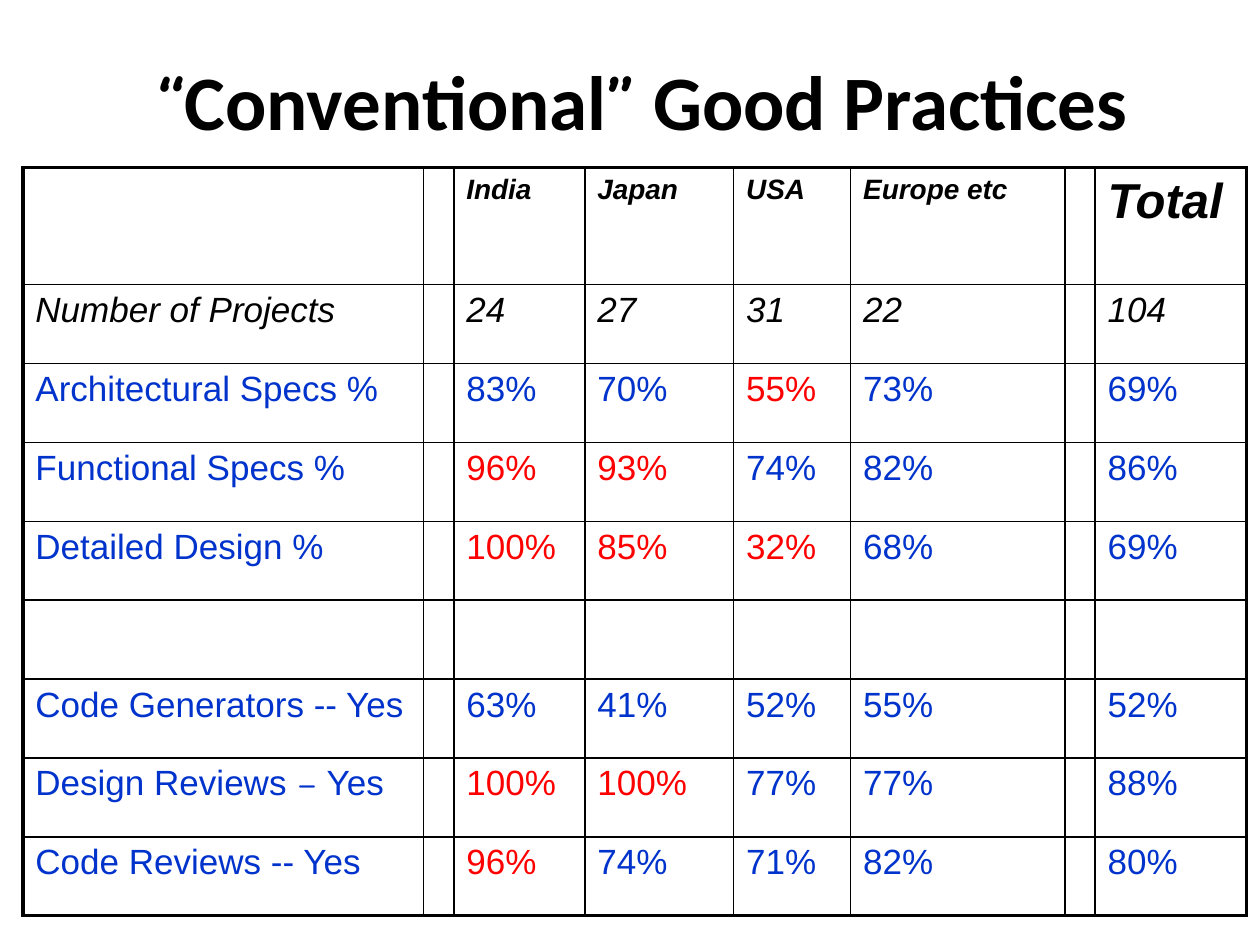
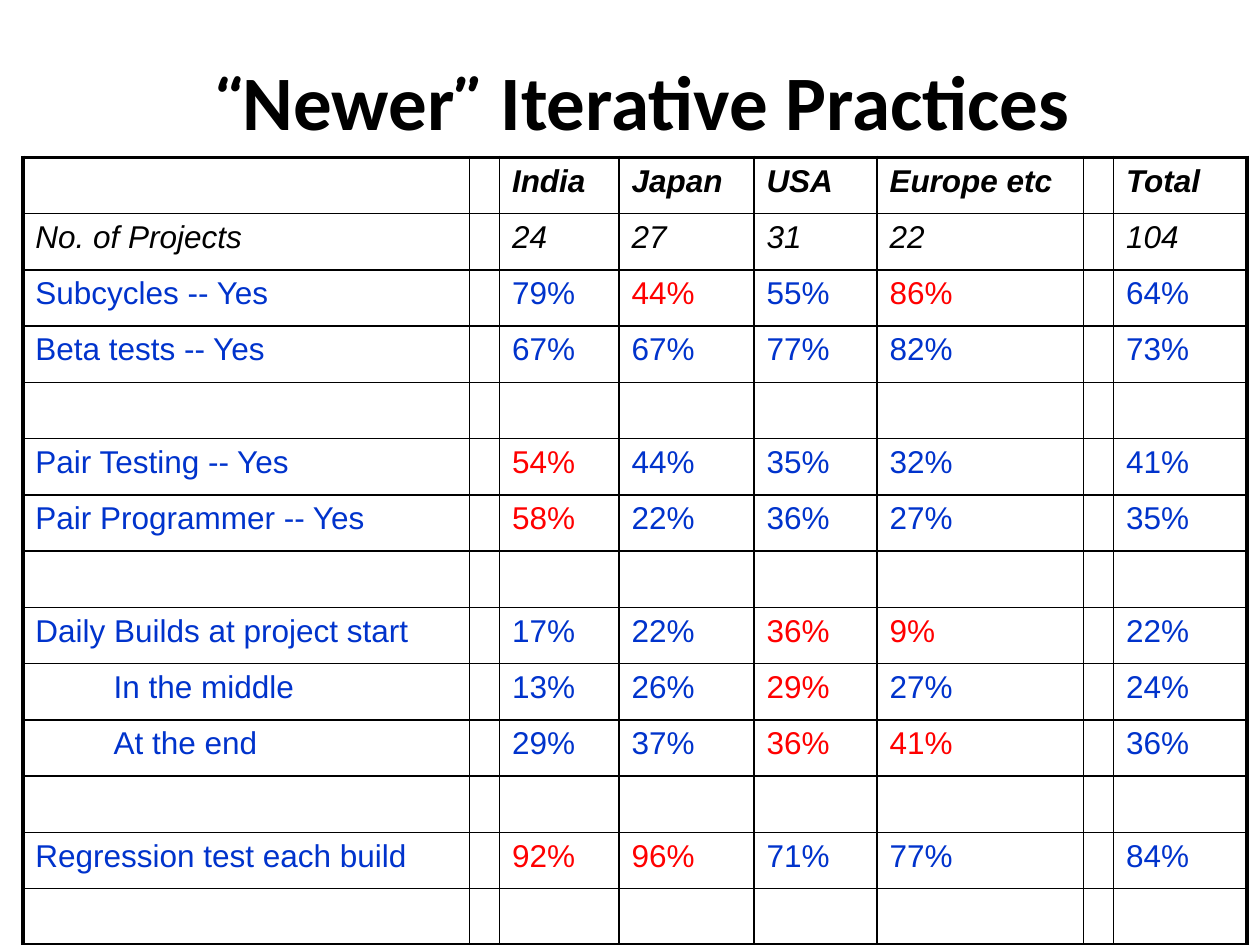
import dataclasses
import itertools

import pptx
import pptx.dml.color
import pptx.enum.text
import pptx.oxml
import pptx.oxml.ns
import pptx.util

Cm = pptx.util.Cm
Pt = pptx.util.Pt
RGB = pptx.dml.color.RGBColor


@dataclasses.dataclass(frozen=True)
class Theme:
    black: RGB = RGB(0x00, 0x00, 0x00)
    blue: RGB = RGB(0x00, 0x33, 0xCC)
    red: RGB = RGB(0xFF, 0x00, 0x00)
    head: str = "Calibri"
    body: str = "Arial"
    mark: str = "Comic Neue"    # curly quotes and dashes
    title: int = 44
    thin: float = 1
    thick: float = 2.25


THEME = Theme()
MARKS = "“”–"
HEADER = ["", "India", "Japan", "USA", "Europe etc", "Total"]
COUNTS = ["24", "27", "31", "22", "104"]
BLANK = [""] * len(HEADER)

# A star marks a value shown in red
USUAL = [
    HEADER,
    ["Number of Projects", *COUNTS],
    ["Architectural Specs %", "83%", "70%", "55%*", "73%", "69%"],
    ["Functional Specs %", "96%*", "93%*", "74%", "82%", "86%"],
    ["Detailed Design %", "100%*", "85%*", "32%*", "68%", "69%"],
    BLANK,
    ["Code Generators -- Yes", "63%", "41%", "52%", "55%", "52%"],
    ["Design Reviews – Yes", "100%*", "100%*", "77%", "77%", "88%"],
    ["Code Reviews -- Yes", "96%*", "74%", "71%", "82%", "80%"],
]
NEWER = [
    HEADER,
    ["No. of Projects", *COUNTS],
    ["Subcycles -- Yes", "79%", "44%*", "55%", "86%*", "64%"],
    ["Beta tests -- Yes", "67%", "67%", "77%", "82%", "73%"],
    BLANK,
    ["Pair Testing -- Yes", "54%*", "44%", "35%", "32%", "41%"],
    ["Pair Programmer -- Yes", "58%*", "22%", "36%", "27%", "35%"],
    BLANK,
    ["Daily Builds at project start", "17%", "22%", "36%*", "9%*", "22%"],
    ["In the middle", "13%", "26%", "29%*", "27%", "24%"],
    ["At the end", "29%", "37%", "36%*", "41%*", "36%"],
    BLANK,
    ["Regression test each build", "92%*", "96%*", "71%", "77%", "84%"],
    BLANK,
]
NESTED = ("In the middle", "At the end")


def write(frame, text, font=THEME.body, size=18, color=THEME.black,
          bold=False, slant=False, align=None):
    """Fill a text frame, giving curly quotes and dashes their own font."""
    para = frame.paragraphs[0]
    para.alignment = align
    for special, chars in itertools.groupby(text, key=lambda c: c in MARKS):
        run = para.add_run()
        run.text = "".join(chars)
        run.font.name = THEME.mark if special else font
        run.font.size = Pt(size)
        run.font.color.rgb = color
        run.font.bold = bold
        run.font.italic = slant


def edge(cell, outer):
    """Draw the four borders, thick on the sides named in outer."""
    props = cell._tc.get_or_add_tcPr()
    for place, side in enumerate("LRTB"):
        width = Pt(THEME.thick if side in outer else THEME.thin)
        line = pptx.oxml.parse_xml(
            f'<a:ln{side} {pptx.oxml.ns.nsdecls("a")} w="{width}">'
            f'<a:solidFill><a:srgbClr val="{THEME.black}"/></a:solidFill>'
            f'</a:ln{side}>')
        props.insert(place, line)


def add_title(slide, text):
    title = slide.shapes.title
    title.left, title.top = Cm(0.48), Cm(0.41)
    title.width, title.height = Cm(24.92), Cm(3.2)
    title.text_frame.vertical_anchor = pptx.enum.text.MSO_ANCHOR.MIDDLE
    write(title.text_frame, text, font=THEME.head, size=THEME.title,
          bold=True, align=pptx.enum.text.PP_ALIGN.CENTER)


def add_grid(slide, rows, top, widths, heights, size, head, total):
    """Add the table, with narrow gaps after the labels and before the total."""
    last_row, last_col = len(rows) - 1, len(widths) - 1
    grid = slide.shapes.add_table(
        len(rows), len(widths), Cm(0.46), Cm(top),
        Cm(sum(widths)), Cm(sum(heights))).table
    grid.first_row = grid.horz_banding = False
    for col, width in zip(grid.columns, widths):
        col.width = Cm(width)
    for row, height in zip(grid.rows, heights):
        row.height = Cm(height)

    for r, (label, *values, final) in enumerate(rows):
        for c, text in enumerate([label, "", *values, "", final]):
            cell = grid.cell(r, c)
            cell.fill.background()
            sides = {"L": c == 0, "R": c == last_col,
                     "T": r == 0, "B": r == last_row}
            edge(cell, [side for side, outer in sides.items() if outer])
            if not text:
                continue
            if text in NESTED:
                cell.margin_left = Cm(1.83)
            if r == 0:
                style = dict(size=total if c == last_col else head,
                             bold=True, slant=True)
            elif r == 1:
                style = dict(size=size, slant=True)
            else:
                color = THEME.red if text.endswith("*") else THEME.blue
                style = dict(size=size, color=color)
            write(cell.text_frame, text.rstrip("*"), **style)


def main():
    deck = pptx.Presentation()
    deck.slide_width, deck.slide_height = Cm(25.4), Cm(19.05)
    layout = deck.slide_layouts[5]

    # Conventional practices
    slide = deck.slides.add_slide(layout)
    add_title(slide, "“Conventional” Good Practices")
    add_grid(slide, USUAL, top=3.38,
             widths=[8.08, 0.6, 2.64, 3, 2.36, 4.32, 0.6, 3.05],
             heights=[2.36] + [1.59] * (len(USUAL) - 1),
             size=20, head=16, total=28)

    # Iterative practices
    slide = deck.slides.add_slide(layout)
    add_title(slide, "“Newer” Iterative Practices")
    add_grid(slide, NEWER, top=3.17,
             widths=[9, 0.6, 2.41, 2.72, 2.48, 4.16, 0.6, 2.69],
             heights=[15.88 / len(NEWER)] * len(NEWER),
             size=18, head=18, total=18)

    deck.save("out.pptx")


if __name__ == "__main__":
    main()
